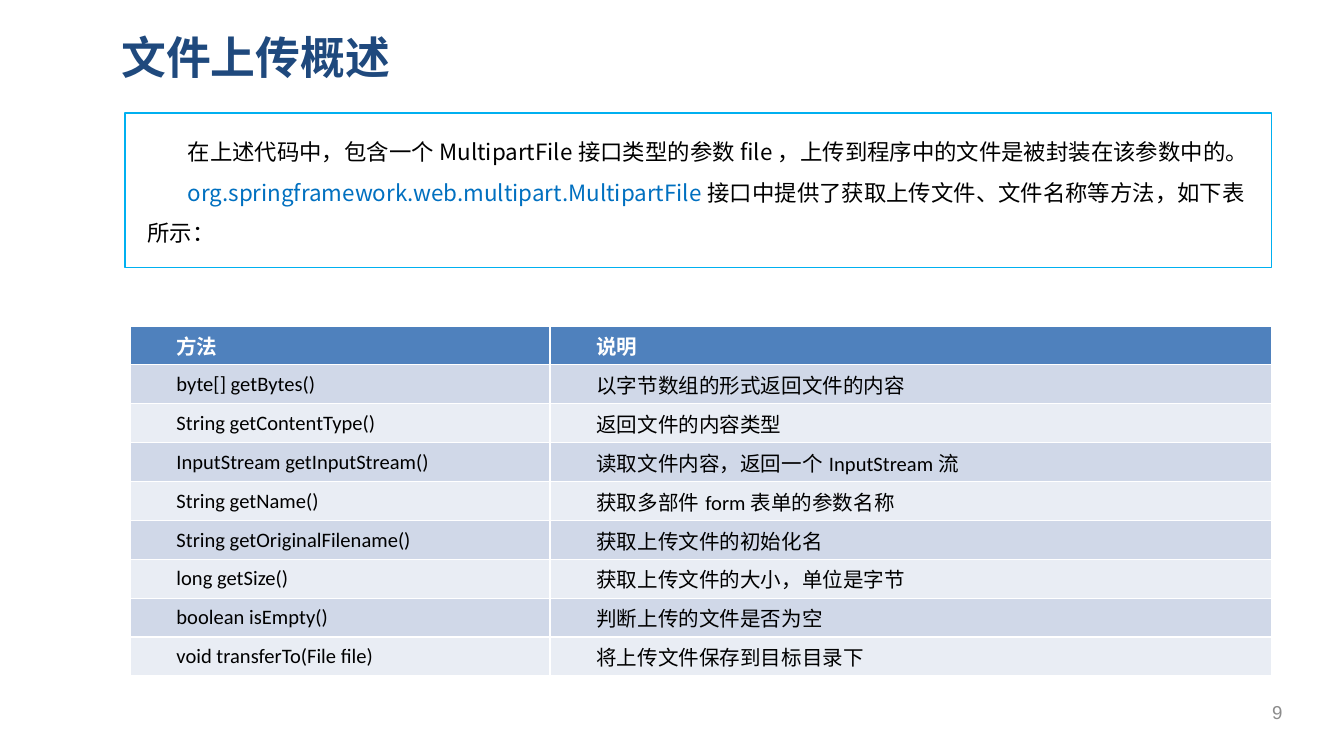
from dataclasses import dataclass

from lxml.etree import SubElement
from pptx import Presentation
from pptx.dml.color import RGBColor
from pptx.enum.shapes import MSO_SHAPE
from pptx.enum.text import MSO_ANCHOR, PP_ALIGN
from pptx.oxml.ns import qn
from pptx.util import Pt


@dataclass(frozen=True)
class Theme:
    title: str = "1F497D"
    text: str = "000000"
    white: str = "FFFFFF"
    number: str = "8C8C8C"
    outline: str = "00B0F0"
    highlight: str = "0070C0"
    header: str = "4F81BD"
    bands: tuple = ("D0D8E8", "E9EDF4")
    title_size: int = 24
    body_size: int = 12
    table_size: int = 11
    number_size: int = 10
    main_font: str = "Noto Sans CJK SC"
    table_font: str = "Calibri"
    number_font: str = "Arial"


theme = Theme()


def style_paragraph(paragraph, font_name, size, color, bold=False, indent=0):
    font = paragraph.font
    font.name = font_name
    font.size = Pt(size)
    font.bold = bold
    font.color.rgb = RGBColor.from_string(color)
    properties = paragraph._p.get_or_add_pPr()
    SubElement(properties.find(qn("a:defRPr")), qn("a:ea"), typeface=theme.main_font)
    if indent:
        properties.set("marL", "0")
        properties.set("indent", str(Pt(indent)))


def set_margins(frame, horizontal, vertical):
    frame.margin_left = frame.margin_right = Pt(horizontal)
    frame.margin_top = frame.margin_bottom = Pt(vertical)


presentation = Presentation()
presentation.slide_width = Pt(720)
presentation.slide_height = Pt(405)
slide = presentation.slides.add_slide(presentation.slide_layouts[5])

title = slide.shapes.title
title.left, title.top, title.width, title.height = Pt(60), Pt(13), Pt(629), Pt(36)
title.text_frame.text = "文件上传概述"
title.text_frame.vertical_anchor = MSO_ANCHOR.TOP
set_margins(title.text_frame, 5, 3)
title_paragraph = title.text_frame.paragraphs[0]
title_paragraph.alignment = PP_ALIGN.LEFT
style_paragraph(title_paragraph, theme.main_font, theme.title_size, theme.title, bold=True)

number_box = slide.shapes.add_textbox(Pt(667), Pt(371), Pt(34.5), Pt(21.5))
number_box.text_frame.text = "9"
number_box.text_frame.word_wrap = True
number_box.text_frame.vertical_anchor = MSO_ANCHOR.MIDDLE
set_margins(number_box.text_frame, 6.5, 3)
number_paragraph = number_box.text_frame.paragraphs[0]
number_paragraph.alignment = PP_ALIGN.CENTER
style_paragraph(number_paragraph, theme.number_font, theme.number_size, theme.number)

introduction = slide.shapes.add_group_shape()
frame_box = introduction.shapes.add_shape(MSO_SHAPE.RECTANGLE, Pt(67), Pt(60.5), Pt(614), Pt(83))
frame_box.shadow.inherit = False
frame_box.fill.solid()
frame_box.fill.fore_color.rgb = RGBColor.from_string(theme.white)
fill_color = frame_box._element.spPr.find(qn("a:solidFill"))[0]
SubElement(fill_color, qn("a:alpha"), val="90000")
frame_box.line.color.rgb = RGBColor.from_string(theme.outline)
frame_box.line.width = Pt(0.75)

introduction_box = introduction.shapes.add_textbox(Pt(72), Pt(63.5), Pt(605), Pt(80))
introduction_box.text_frame.word_wrap = True
introduction_paragraphs = [
    [("在上述代码中，包含一个MultipartFile接口类型的参数file，上传到程序中的文件是被封装在该参数中的。", theme.text)],
    [
        ("org.springframework.web.multipart.MultipartFile", theme.highlight),
        ("接口中提供了获取上传文件、文件名称等方法，如下表所示：", theme.text),
    ],
]
for index, runs in enumerate(introduction_paragraphs):
    text_frame = introduction_box.text_frame
    paragraph = text_frame.add_paragraph() if index else text_frame.paragraphs[0]
    paragraph.line_spacing = 1.5
    style_paragraph(paragraph, theme.main_font, theme.body_size, theme.text, indent=21.5)
    for text, color in runs:
        run = paragraph.add_run()
        run.text = text
        if color != theme.text:
            run.font.color.rgb = RGBColor.from_string(color)

methods = [
    ("方法", "说明"),
    ("byte[] getBytes()", "以字节数组的形式返回文件的内容"),
    ("String getContentType()", "返回文件的内容类型"),
    ("InputStream getInputStream()", "读取文件内容，返回一个InputStream流"),
    ("String getName()", "获取多部件form表单的参数名称"),
    ("String getOriginalFilename()", "获取上传文件的初始化名"),
    ("long getSize()", "获取上传文件的大小，单位是字节"),
    ("boolean isEmpty()", "判断上传的文件是否为空"),
    ("void transferTo(File file)", "将上传文件保存到目标目录下"),
]
table = slide.shapes.add_table(len(methods), 2, Pt(69.5), Pt(174.5), Pt(612), Pt(188)).table
table.columns[0].width = Pt(225)
table.columns[1].width = Pt(387)
for row_index, row_texts in enumerate(methods):
    is_header = row_index == 0
    table.rows[row_index].height = Pt(20.88)
    for column_index, text in enumerate(row_texts):
        cell = table.cell(row_index, column_index)
        cell.text = text
        cell.vertical_anchor = MSO_ANCHOR.MIDDLE
        set_margins(cell, 5, 0)
        cell.fill.solid()
        fill = theme.header if is_header else theme.bands[(row_index - 1) % 2]
        cell.fill.fore_color.rgb = RGBColor.from_string(fill)
        paragraph = cell.text_frame.paragraphs[0]
        paragraph.alignment = PP_ALIGN.JUSTIFY
        color = theme.white if is_header else theme.text
        style_paragraph(paragraph, theme.table_font, theme.table_size, color, bold=is_header, indent=20)

presentation.save("out.pptx")
